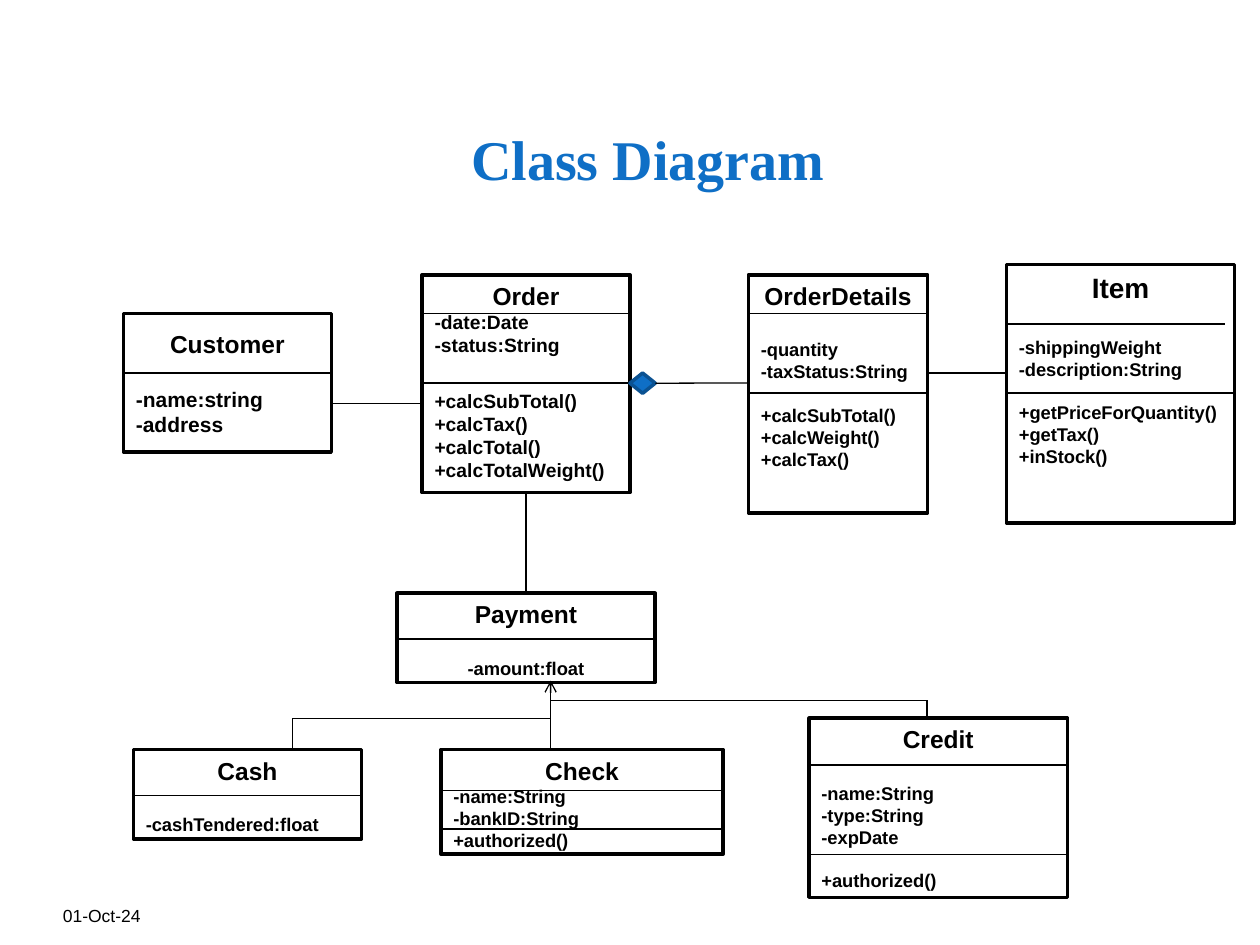
from lxml import etree
from pptx import Presentation
from pptx.dml.color import RGBColor
from pptx.enum import shapes, text
from pptx.oxml.ns import qn
from pptx.util import Cm, Pt

BLACK, WHITE, BLUE, NAVY = "000000", "FFFFFF", "0F6FC6", "0B5292"

# name: (left, top, width, height), name size, text size, divider heights,
# then sections as (space before in points, lines)
CLASSES = {
    "Customer": ((2.49, 6.32, 4.19, 2.79), 14, 12, [7.52],
                 [(16.1, ["-name:string", "-address"])]),
    "Order": ((8.51, 5.54, 4.19, 4.39), 14, 11, [6.32, 7.72],
              [(0, ["-date:Date", "-status:String"]),
               (18.4, ["+calcSubTotal()", "+calcTax()", "+calcTotal()",
                       "+calcTotalWeight()"])]),
    "OrderDetails": ((15.09, 5.54, 3.61, 4.8), 14, 10.5, [6.32, 7.92],
                     [(16.1, ["-quantity", "-taxStatus:String"]),
                      (12.1, ["+calcSubTotal()", "+calcWeight()", "+calcTax()"])]),
    "Item": ((20.29, 5.33, 4.6, 5.21), 16, 10.5, [6.53, 7.92],
             [(18.4, ["-shippingWeight", "-description:String"]),
              (12.1, ["+getPriceForQuantity()", "+getTax()", "+inStock()"])]),
    "Payment": ((8, 11.96, 5.21, 1.8), 14, 10.5, [12.88],
                [(16.1, ["-amount:float"])]),
    "Cash": ((2.69, 15.11, 4.6, 1.8), 14, 10.5, [16.03],
             [(16.1, ["-cashTendered:float"])]),
    "Check": ((8.89, 15.11, 5.69, 2.11), 14, 10.5, [15.93, 16.71],
              [(0, ["-name:String", "-bankID:String"]), (0, ["+authorized()"])]),
    "Credit": ((16.31, 14.48, 5.21, 3.61), 14, 10.5, [15.42, 17.22],
               [(16.1, ["-name:String", "-type:String", "-expDate"]),
                (12.1, ["+authorized()"])]),
}
CENTRED = {"Payment"}
SHORT = {("Item", 6.53): 0.2}  # dividers that stop before the right side

TRUNK, CASH_X, CREDIT_X = 11.1, 5.89, 18.69
CASH_Y, CREDIT_Y = 14.48, 14.12
LINKS = [
    (6.71, 8.13, 8.51, 8.13),
    (18.69, 7.52, 20.29, 7.52),
    (TRUNK, CASH_Y, CASH_X, CASH_Y),
    (CASH_X, CASH_Y, CASH_X, 15.11),
    (TRUNK, CREDIT_Y, CREDIT_X, CREDIT_Y),
    (CREDIT_X, CREDIT_Y, CREDIT_X, 14.43),
]


def rgb(code):
    return RGBColor.from_string(code)


def style(par, name, size, color=BLACK, bold=True):
    font = par.font
    font.name, font.size, font.bold = name, Pt(size), bold
    font.color.rgb = rgb(color)


def shape(kind, box, fill, edge):
    item = slide.shapes.add_shape(kind, *map(Cm, box))
    item.shadow.inherit = False
    item.fill.solid()
    item.fill.fore_color.rgb = rgb(fill)
    item.line.color.rgb = rgb(edge)
    item.line.width = Pt(2)
    return item


def line(*ends):
    item = slide.shapes.add_connector(shapes.MSO_CONNECTOR.STRAIGHT, *map(Cm, ends))
    item.line.color.rgb = rgb(BLACK)
    item.line.width = Pt(0.75)
    etree.SubElement(item._element.spPr, qn("a:effectLst"))
    return item


def draw_class(name):
    """Draw one class box with its text and return the box."""
    box, big, small, _, parts = CLASSES[name]
    item = shape(shapes.MSO_SHAPE.RECTANGLE, box, WHITE, BLACK)
    frame = item.text_frame
    frame.word_wrap = True
    middle = name == "Customer"
    frame.vertical_anchor = text.MSO_ANCHOR.MIDDLE if middle else text.MSO_ANCHOR.TOP
    head = frame.paragraphs[0]
    head.text, head.alignment = name, text.PP_ALIGN.CENTER
    style(head, "Arial", big)
    for gap, rows in parts:
        for i, row in enumerate(rows):
            par = frame.add_paragraph()
            par.text = row
            par.alignment = (text.PP_ALIGN.CENTER if name in CENTRED
                             else text.PP_ALIGN.LEFT)
            par.space_before = Pt(0 if i else gap)
            style(par, "Arial", small)
    return item


def write(item, box, words, inset):
    """Place a bottom-anchored line of text and return its paragraph."""
    item.left, item.top, item.width, item.height = map(Cm, box)
    frame = item.text_frame
    frame.word_wrap = True
    frame.auto_size = text.MSO_AUTO_SIZE.NONE
    frame.vertical_anchor = text.MSO_ANCHOR.BOTTOM
    frame.margin_left, frame.margin_top = Cm(inset), Cm(0)
    frame.margin_right = frame.margin_bottom = Cm(0)
    par = frame.paragraphs[0]
    par.text, par.alignment = words, text.PP_ALIGN.LEFT
    return par


deck = Presentation()
deck.slide_width, deck.slide_height = Cm(25.4), Cm(19.05)
slide = deck.slides.add_slide(deck.slide_layouts[5])

title = write(slide.shapes.title, (8.94, 0.69, 22.86, 3.18), "Class Diagram", 0.56)
style(title, "Times New Roman", 32, BLUE)
stamp = slide.shapes.add_textbox(0, 0, 0, 0)
date = write(stamp, (1.27, 17.65, 5.92, 1.02), "01-Oct-24", 0)
style(date, "Arial", 10, bold=False)

boxes = {name: draw_class(name) for name in CLASSES}
for name, (box, _, _, cuts, _) in CLASSES.items():
    for y in cuts:
        line(box[0], y, box[0] + box[2] - SHORT.get((name, y), 0), y)

for ends in LINKS:
    line(*ends)

whole = shape(shapes.MSO_SHAPE.FLOWCHART_DECISION, (12.7, 7.52, 0.51, 0.41), BLUE, NAVY)
line(13.21, 7.72, 15.09, 7.72).begin_connect(whole, 3)

pay = line(10.6, 9.93, 10.6, 11.96)
pay.begin_connect(boxes["Order"], 2)
pay.end_connect(boxes["Payment"], 0)

parent = line(TRUNK, 15.11, TRUNK, 13.72)
etree.SubElement(parent.line._get_or_add_ln(), qn("a:tailEnd"), type="arrow")

deck.save("out.pptx")
